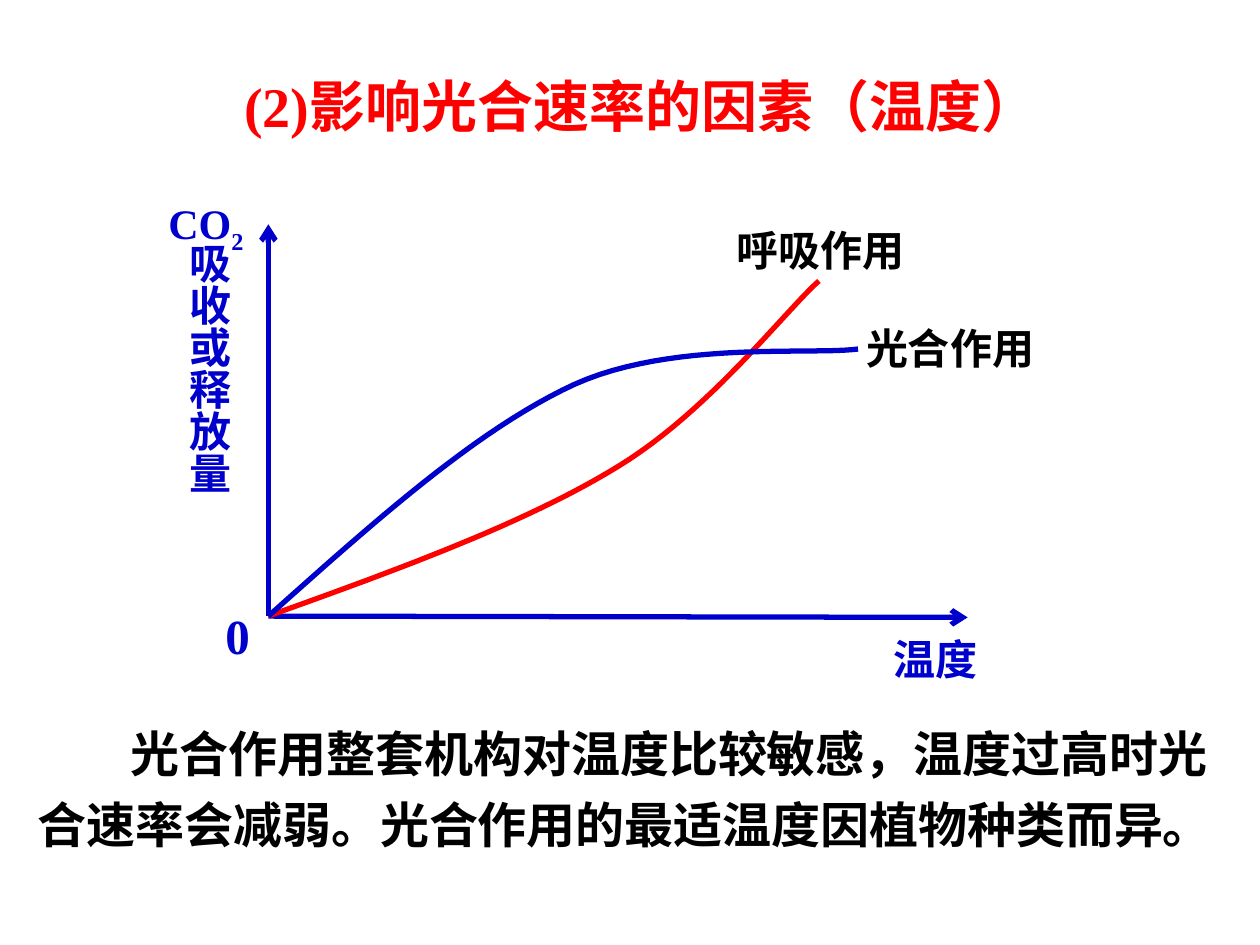
"""Build a slide on how temperature affects the rate of photosynthesis."""
from lxml import etree
from pptx import Presentation
from pptx import util as u
from pptx.dml.color import RGBColor
from pptx.enum import shapes, text
from pptx.oxml import ns

RED = RGBColor(0xFF, 0x00, 0x00)
BLUE = RGBColor(0x00, 0x00, 0xCC)
BLACK = RGBColor(0x00, 0x00, 0x00)
FONT = "Times New Roman"
LINE_WIDTH = u.Pt(3)
CURVE_STEPS = 24
SUBSCRIPT = "-25000"
CENTER, LEFT = text.PP_ALIGN.CENTER, text.PP_ALIGN.LEFT

TITLE = "(2)影响光合速率的因素（温度）"
TITLE_BOX = (1.39, 0.52, 7.4, 0.63)
SUMMARY = "光合作用整套机构对温度比较敏感，温度过高时光合速率会减弱。光合作用的最适温度因植物种类而异。"
SUMMARY_BOX = (0.2, 5.6, 9.72, 1.22)
SUMMARY_INDENT = 0.74

ORIGIN = (2.13, 4.89)
AXIS_ENDS = [(2.13, 1.78), (7.68, 4.9)]
CURVES = [
    (RED, [ORIGIN, (3.16, 4.52), (4.18, 4.15), (4.91, 3.7),
           (5.63, 3.26), (6.23, 2.47), (6.5, 2.23)]),
    (BLUE, [ORIGIN, (2.96, 4.15), (3.78, 3.41), (4.56, 3.05),
            (5.34, 2.7), (6.44, 2.82), (6.81, 2.77)]),
]
LABELS = [
    ("呼吸作用", (5.74, 1.73, 1.54, 0.5), 24, BLACK, CENTER, False),
    ("光合作用", (6.77, 2.51, 1.54, 0.5), 24, BLACK, CENTER, False),
    ("温度", (6.78, 4.98, 1.29, 0.5), 24, BLUE, CENTER, True),
    ("0", (1.69, 4.76, 0.4, 0.57), 28, BLUE, LEFT, False),
]
VERTICAL_LABEL = ("吸收或释放量", (1.31, 1.83, 0.6, 2.44), 24, BLUE, CENTER, True)
GAS_LABEL = ("CO", (1.23, 1.52, 0.81, 0.5), 24, BLUE, CENTER, False)


def add_run(paragraph, wording, size, color):
    run = paragraph.add_run()
    run.text = wording
    run.font.name = FONT
    run.font.size = u.Pt(size)
    run.font.bold = True
    run.font.color.rgb = color
    return run


def add_label(slide, wording, box, size, color, alignment, wrap):
    shape = slide.shapes.add_textbox(*map(u.Inches, box))
    shape.text_frame.word_wrap = wrap
    paragraph = shape.text_frame.paragraphs[0]
    paragraph.alignment = alignment
    add_run(paragraph, wording, size, color)
    return shape


def add_title(slide):
    title = slide.shapes.title
    title.left, title.top, title.width, title.height = map(u.Inches, TITLE_BOX)
    frame = title.text_frame
    frame.auto_size = text.MSO_AUTO_SIZE.NONE
    frame.vertical_anchor = text.MSO_ANCHOR.TOP
    frame.paragraphs[0].alignment = CENTER
    add_run(frame.paragraphs[0], TITLE, 32, RED)


def add_axis(slide, end):
    points = map(u.Inches, (*ORIGIN, *end))
    axis = slide.shapes.add_connector(shapes.MSO_CONNECTOR.STRAIGHT, *points)
    axis.line.color.rgb = BLUE
    axis.line.width = LINE_WIDTH
    etree.SubElement(axis.line._get_or_add_ln(), ns.qn("a:tailEnd"), type="arrow")
    etree.SubElement(axis._element.spPr, ns.qn("a:effectLst"))


def bezier_point(controls, share):
    rest = 1 - share
    weights = (rest**3, 3 * rest**2 * share, 3 * rest * share**2, share**3)
    return tuple(
        u.Inches(sum(weight * value for weight, value in zip(weights, values)))
        for values in zip(*controls)
    )


def add_curve(slide, color, controls):
    points = [
        bezier_point(controls[first:first + 4], step / CURVE_STEPS)
        for first in range(0, len(controls) - 1, 3)
        for step in range(1, CURVE_STEPS + 1)
    ]
    start_x, start_y = map(u.Inches, controls[0])
    builder = slide.shapes.build_freeform(start_x, start_y)
    builder.add_line_segments(points, close=False)
    curve = builder.convert_to_shape()
    curve.shadow.inherit = False
    curve.fill.background()
    curve.line.color.rgb = color
    curve.line.width = LINE_WIDTH


def main():
    presentation = Presentation()
    presentation.slide_width, presentation.slide_height = u.Inches(10), u.Inches(7.5)
    slide = presentation.slides.add_slide(presentation.slide_layouts[5])

    add_title(slide)
    summary = add_label(slide, SUMMARY, SUMMARY_BOX, 28, BLACK, LEFT, True)
    paragraph = summary.text_frame.paragraphs[0]
    paragraph.line_spacing = 1.2
    paragraph._p.get_or_add_pPr().set("indent", str(u.Inches(SUMMARY_INDENT)))

    for end in AXIS_ENDS:
        add_axis(slide, end)
    for color, controls in CURVES:
        add_curve(slide, color, controls)
    for label in LABELS:
        add_label(slide, *label)

    vertical = add_label(slide, *VERTICAL_LABEL)
    vertical._element.txBody.bodyPr.set("vert", "eaVert")
    gas = add_label(slide, *GAS_LABEL)
    subscript = add_run(gas.text_frame.paragraphs[0], "2", 24, BLUE)
    subscript._r.get_or_add_rPr().set("baseline", SUBSCRIPT)

    presentation.save("out.pptx")


if __name__ == "__main__":
    main()
